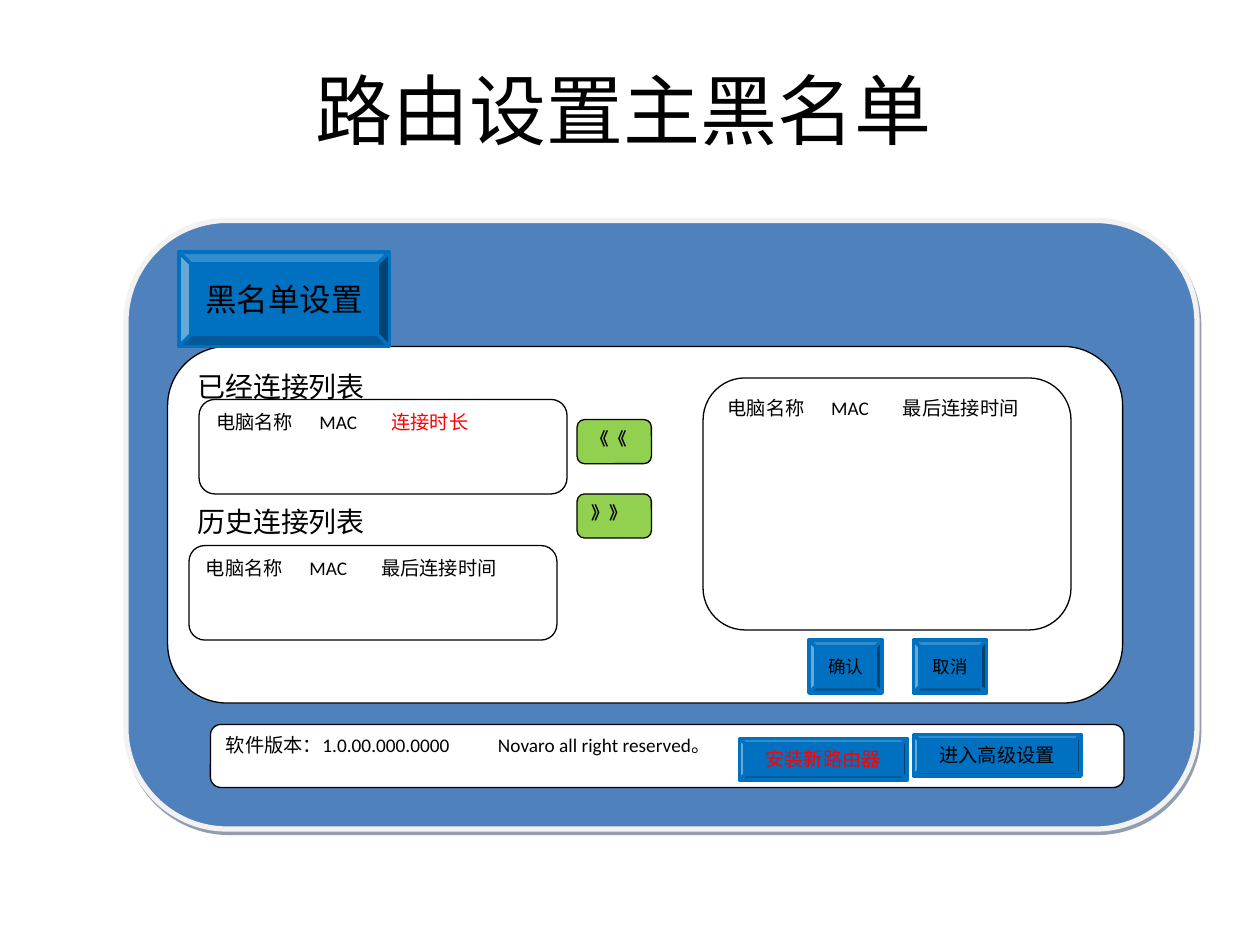
from dataclasses import dataclass

from lxml import etree
from pptx import Presentation
from pptx import util as u
from pptx.dml.color import RGBColor
from pptx.enum import shapes, text
from pptx.oxml import ns

BLACK = RGBColor(0x00, 0x00, 0x00)
WHITE = RGBColor(0xFF, 0xFF, 0xFF)
RED = RGBColor(0xFF, 0x00, 0x00)
GREEN = RGBColor(0x92, 0xD0, 0x50)
BUTTON_BLUE = RGBColor(0x00, 0x70, 0xC0)
PANEL_BLUE = RGBColor(0x4F, 0x81, 0xBD)
PANEL_EDGE = RGBColor(0xF2, 0xF2, 0xF2)
PANEL_SHADOW = "243F60"

FONT = "Calibri"
ROUNDED = shapes.MSO_SHAPE.FLOWCHART_ALTERNATE_PROCESS
BEVEL = shapes.MSO_SHAPE.BEVEL
LEFT, CENTER, JUSTIFY = (text.PP_ALIGN.LEFT, text.PP_ALIGN.CENTER,
                         text.PP_ALIGN.JUSTIFY)

COLUMN_TABS = (0.82, 1.39)
COLUMNS = "电脑名称\tMAC\t"


@dataclass
class Box:
    """A rounded box; each paragraph is a list of (wording, colour) runs."""
    at: tuple
    paragraphs: tuple = ()
    size: float = 11
    bold: bool = False
    fill: RGBColor = WHITE
    line: RGBColor = BLACK
    line_width: float = 0.75
    align: int = LEFT
    tabs: tuple = ()
    gap: float = 0
    preset: int = ROUNDED


def button(at: tuple, label: str, size: float, color: RGBColor = BLACK) -> Box:
    return Box(at, ([(label, color)],), size, fill=BUTTON_BLUE,
               line=BUTTON_BLUE, line_width=2, align=CENTER, preset=BEVEL)


def device_list(at: tuple, last_column: str, color: RGBColor = BLACK) -> Box:
    return Box(at, ([(COLUMNS, BLACK), (last_column, color)],),
               tabs=COLUMN_TABS)


def arrow(top: float, label: str) -> Box:
    return Box((4.58, top, 0.59, 0.35), ([(label, BLACK)],), 10, True,
               fill=GREEN, align=JUSTIFY)


def format_run(run, size: float, color: RGBColor, bold: bool = False) -> None:
    values = {"name": FONT, "size": u.Pt(size), "bold": bold}
    for key, value in values.items():
        setattr(run.font, key, value)
    run.font.color.rgb = color


def add_tabs(paragraph, stops: tuple) -> None:
    tab_list = etree.SubElement(paragraph._p.get_or_add_pPr(),
                                ns.qn("a:tabLst"))
    for stop in stops:
        etree.SubElement(tab_list, ns.qn("a:tab"),
                         pos=str(u.Inches(stop)), algn="l")


def draw(slide, box: Box):
    shape = slide.shapes.add_shape(box.preset, *map(u.Inches, box.at))
    shape.shadow.inherit = False
    shape.fill.solid()
    shape.fill.fore_color.rgb = box.fill
    shape.line.color.rgb = box.line
    shape.line.width = u.Pt(box.line_width)

    frame = shape.text_frame
    is_button = box.preset == BEVEL
    side = u.Inches(0.05 if is_button else 0.1)
    layout = {
        "word_wrap": True,
        "vertical_anchor": (text.MSO_ANCHOR.MIDDLE if is_button
                            else text.MSO_ANCHOR.TOP),
        "margin_left": side,
        "margin_right": side,
    }
    for key, value in layout.items():
        setattr(frame, key, value)

    for index, runs in enumerate(box.paragraphs):
        paragraph = frame.add_paragraph() if index else frame.paragraphs[0]
        paragraph.alignment = box.align
        if index:
            paragraph.space_before = u.Pt(box.gap)
        if box.tabs:
            add_tabs(paragraph, box.tabs)
        for wording, color in runs:
            run = paragraph.add_run()
            run.text = wording
            format_run(run, box.size, color, box.bold)
    return shape


def add_panel_shadow(panel) -> None:
    effects = panel._element.spPr.find(ns.qn("a:effectLst"))
    shadow = etree.SubElement(effects, ns.qn("a:outerShdw"), blurRad="0",
                              dist=str(u.Pt(2.2)), dir=str(63 * 60000),
                              algn="ctr", rotWithShape="0")
    color = etree.SubElement(shadow, ns.qn("a:srgbClr"), val=PANEL_SHADOW)
    etree.SubElement(color, ns.qn("a:alpha"), val="50000")


deck = Presentation()
deck.slide_width, deck.slide_height = u.Inches(10), u.Inches(7.5)
slide = deck.slides.add_slide(deck.slide_layouts[5])

# Title
title = slide.shapes.title
for side, inches in {"left": 0.5, "top": 0.48,
                     "width": 8.9, "height": 0.76}.items():
    setattr(title, side, u.Inches(inches))
title.text_frame.vertical_anchor = text.MSO_ANCHOR.MIDDLE
heading = title.text_frame.paragraphs[0]
heading.alignment = CENTER
heading_run = heading.add_run()
heading_run.text = "路由设置主黑名单"
format_run(heading_run, 44, BLACK)

# Window background
window = draw(slide, Box((1, 1.75, 8.5, 4.83), fill=PANEL_BLUE,
                         line=PANEL_EDGE, line_width=3))
add_panel_shadow(window)

# Window contents, back to front
footer = Box((1.67, 5.75, 7.25, 0.5),
             ([("软件版本：1.0.00.000.0000\tNovaro all right reserved。",
                BLACK)],), tabs=(2.16,))
content = Box((1.33, 2.75, 7.58, 2.83),
              ([("已经连接列表", BLACK)], [("历史连接列表", BLACK)]),
              size=16, gap=57.5)
for part in (
    footer,
    content,
    button((1.42, 2, 1.67, 0.75), "黑名单设置", 18),
    device_list((1.58, 3.17, 2.92, 0.75), "连接时长", RED),
    arrow(3.92, "》》"),
    device_list((5.58, 3, 2.92, 2), "最后连接时间"),
    arrow(3.33, "《《"),
    button((6.42, 5.08, 0.58, 0.42), "确认", 10),
    button((7.25, 5.08, 0.58, 0.42), "取消", 10),
    button((7.25, 5.83, 1.33, 0.33), "进入高级设置", 11),
    device_list((1.5, 4.33, 2.92, 0.75), "最后连接时间"),
    button((5.87, 5.86, 1.33, 0.33), "安装新路由器", 11, RED),
):
    draw(slide, part)

deck.save("out.pptx")
